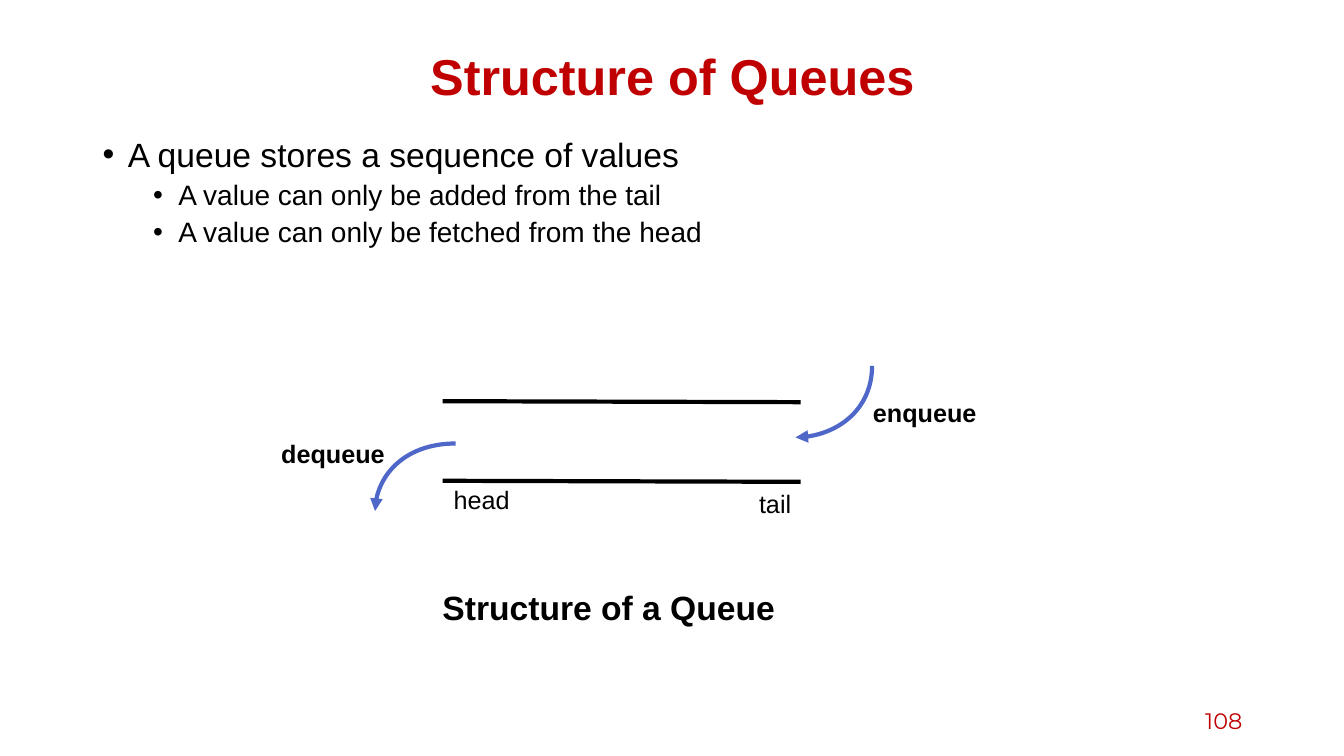
from lxml import etree
from pptx import Presentation
from pptx.dml.color import RGBColor
from pptx.enum.shapes import MSO_CONNECTOR
from pptx.enum.text import MSO_ANCHOR, PP_ALIGN
from pptx.oxml.ns import qn
from pptx.util import Inches, Pt

LEFT, CENTER, RIGHT = PP_ALIGN.LEFT, PP_ALIGN.CENTER, PP_ALIGN.RIGHT
TOP, MIDDLE = MSO_ANCHOR.TOP, MSO_ANCHOR.MIDDLE
STRAIGHT = MSO_CONNECTOR.STRAIGHT
RED, BLACK, BLUE = "C00000", "000000", "4E67C8"
WIDTH, HEIGHT = 13.33, 7.5
MARGIN = 0.92
CONTENT_WIDTH = 11.5
QUARTER_CURVE = 0.55  # handle length of a quarter ellipse


def color(hex_string):
    return RGBColor.from_string(hex_string)


def style(paragraph, size, hex_string, bold=False, font="Arial"):
    paragraph.font.name = font
    paragraph.font.size = Pt(size)
    paragraph.font.bold = bold
    paragraph.font.color.rgb = color(hex_string)


def add_text_frame(slide, box, anchor=TOP):
    frame = slide.shapes.add_textbox(*map(Inches, box)).text_frame
    frame.word_wrap = True
    frame.vertical_anchor = anchor
    return frame


def add_label(slide, box, text, size, hex_string=BLACK, bold=False,
              align=LEFT, anchor=TOP, font="Arial"):
    paragraph = add_text_frame(slide, box, anchor).paragraphs[0]
    paragraph.text = text
    paragraph.alignment = align
    style(paragraph, size, hex_string, bold, font)


def add_bullets(slide, box, items):
    frame = add_text_frame(slide, box)
    for index, (level, text) in enumerate(items):
        paragraph = frame.paragraphs[0] if index == 0 else frame.add_paragraph()
        paragraph.text = text
        paragraph.level = level
        paragraph.line_spacing = 0.9
        if index:
            paragraph.space_before = Pt(5)
        properties = paragraph._p.get_or_add_pPr()
        properties.set("marL", str(Inches(0.25 + 0.5 * level)))
        properties.set("indent", str(-Inches(0.25)))
        etree.SubElement(properties, qn("a:buFont")).set("typeface", "Arial")
        etree.SubElement(properties, qn("a:buChar")).set("char", "•")
        style(paragraph, 24 - 4 * level, BLACK)


def add_rail(slide, left, right, y):
    rail = slide.shapes.add_connector(
        STRAIGHT, Inches(left), Inches(y), Inches(right), Inches(y + 0.01))
    rail.line.color.rgb = color(BLACK)
    rail.line.width = Pt(3)
    etree.SubElement(rail._element.spPr, qn("a:effectLst"))


def add_curved_arrow(slide, start, end, leaves_down):
    """Quarter curve from start to end, with an arrowhead at its end."""
    builder = slide.shapes.build_freeform(*map(Inches, start), scale=1.0)
    builder.add_line_segments([tuple(map(Inches, end))], close=False)
    arrow = builder.convert_to_shape()
    arrow.shadow.inherit = False
    arrow.fill.background()
    arrow.line.color.rgb = color(BLUE)
    arrow.line.width = Pt(3)
    head = etree.SubElement(arrow.line._get_or_add_ln(), qn("a:tailEnd"))
    head.set("type", "triangle")

    # Bend the straight segment into a curve
    (x0, y0), (x1, y1) = [(int(point.get("x")), int(point.get("y")))
                          for point in arrow._element.iter(qn("a:pt"))]
    dx, dy = QUARTER_CURVE * (x1 - x0), QUARTER_CURVE * (y1 - y0)
    if leaves_down:
        handles = [(x0, y0 + dy), (x1 - dx, y1)]
    else:
        handles = [(x0 + dx, y0), (x1, y1 - dy)]
    segment = next(arrow._element.iter(qn("a:lnTo")))
    curve = etree.Element(qn("a:cubicBezTo"))
    for x, y in handles + [(x1, y1)]:
        point = etree.SubElement(curve, qn("a:pt"))
        point.set("x", str(round(x)))
        point.set("y", str(round(y)))
    segment.getparent().replace(segment, curve)


def add_queue_diagram(slide, left, top, width, height):
    right, bottom = left + width, top + height

    # Rails and the arrows at both ends
    for y in (top, bottom):
        add_rail(slide, left, right, y)
    add_curved_arrow(slide, (right + 0.71, top - 0.35),
                     (right - 0.05, top + 0.36), leaves_down=True)
    add_curved_arrow(slide, (left + 0.13, top + 0.42),
                     (left - 0.67, top + 1.09), leaves_down=False)

    # Labels
    add_label(slide, (right + 0.62, top - 0.09, 1.68, 0.4), "enqueue", 18, bold=True)
    add_label(slide, (left - 1.7, top + 0.32, 1.68, 0.4), "dequeue", 18, bold=True)
    add_label(slide, (right - 0.51, bottom + 0.03, 0.63, 0.4), "tail", 18)
    add_label(slide, (left + 0.01, bottom - 0.01, 0.89, 0.4), "head", 18)
    add_label(slide, (left - 0.1, bottom + 1, 4.13, 0.5),
              "Structure of a Queue", 24, bold=True)


def build_slide(presentation):
    slide = presentation.slides.add_slide(presentation.slide_layouts[6])
    add_label(slide, (MARGIN, 0.4, CONTENT_WIDTH, 0.7), "Structure of Queues",
              36, RED, bold=True, align=CENTER, anchor=MIDDLE)
    add_bullets(slide, (MARGIN, 1.32, CONTENT_WIDTH, 5.51), [
        (0, "A queue stores a sequence of values"),
        (1, "A value can only be added from the tail"),
        (1, "A value can only be fetched from the head"),
    ])
    add_queue_diagram(slide, 4.39, 3.98, 3.55, 0.79)
    add_label(slide, (MARGIN + CONTENT_WIDTH - 3, 6.95, 3, 0.4), "108", 16, RED,
              align=RIGHT, anchor=MIDDLE, font="Montserrat")


def main():
    presentation = Presentation()
    presentation.slide_width = Inches(WIDTH)
    presentation.slide_height = Inches(HEIGHT)
    build_slide(presentation)
    presentation.save("out.pptx")


if __name__ == "__main__":
    main()
